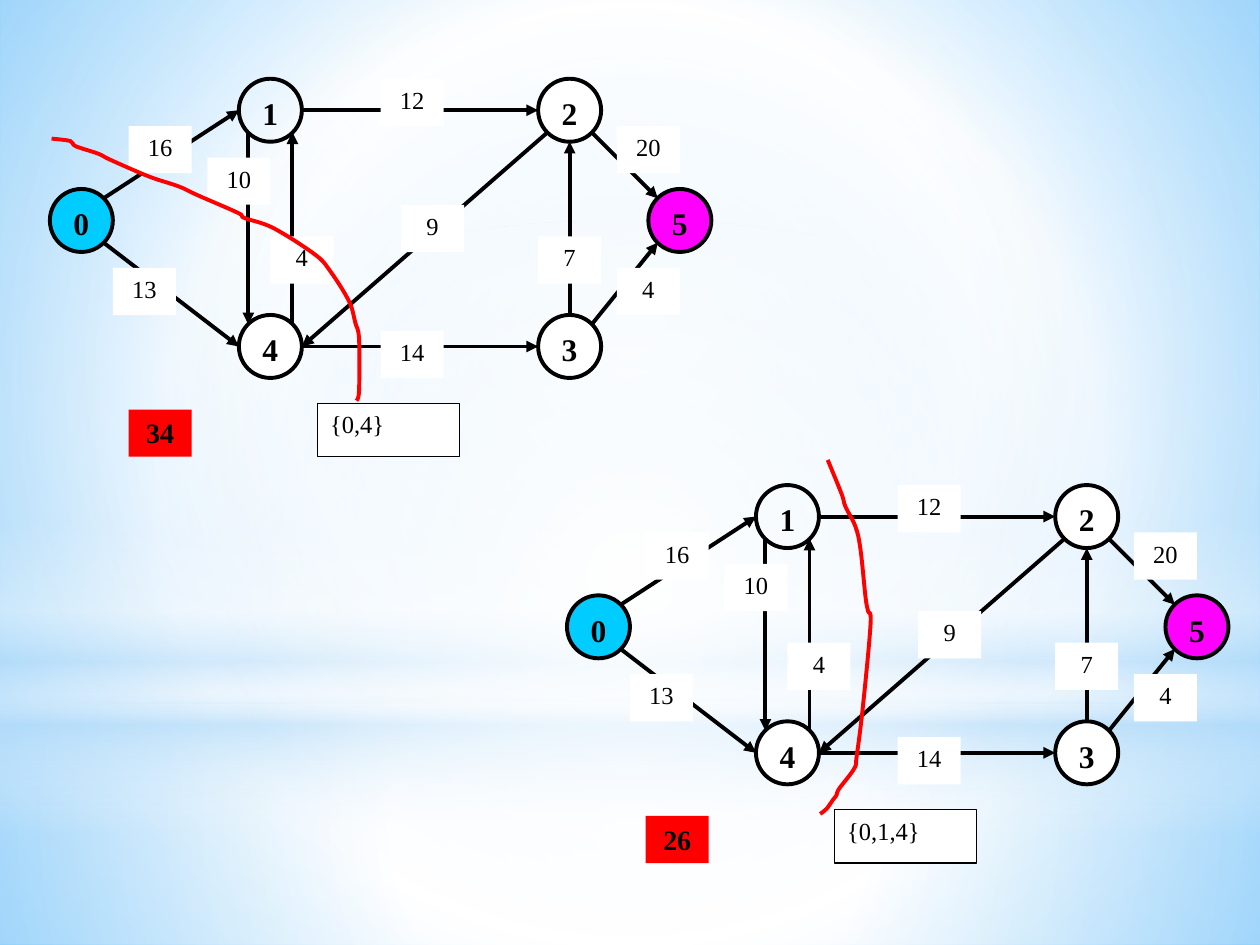
from pptx import Presentation
from pptx import oxml
from pptx import util as u
from pptx.dml import color
from pptx.enum import shapes, text
from pptx.oxml import ns


def rgb(value):
    return color.RGBColor.from_string(value)


def gradient(fill, el, stops, shade):
    fill.solid()
    old = el.xpath(".//a:solidFill")[0]
    gs = "".join(
        f'<a:gs pos="{pos * 1000}"><a:srgbClr val="{c}"><a:alpha val="{alpha * 1000}"/></a:srgbClr></a:gs>'
        for pos, c, alpha in stops)
    old.getparent().replace(old, oxml.parse_xml(
        f'<a:gradFill {ns.nsdecls("a")} rotWithShape="1"><a:gsLst>{gs}</a:gsLst>{shade}</a:gradFill>'))


prs = Presentation()
prs.slide_width, prs.slide_height = u.Inches(10), u.Inches(7.5)
W, H = prs.slide_width, prs.slide_height
CELL = W / 80
s = prs.slides.add_slide(prs.slide_layouts[6])
RECT, OVAL = shapes.MSO_SHAPE.RECTANGLE, shapes.MSO_SHAPE.OVAL
CENTER, LEFT = text.PP_ALIGN.CENTER, text.PP_ALIGN.LEFT

RADIAL = '<a:path path="circle"><a:fillToRect l="50000" t="50000" r="50000" b="50000"/></a:path>'
DOWN = '<a:lin ang="5400000" scaled="0"/>'
gradient(s.background.fill, s.element,
         [(0, "99D4FE", 100), (60, "FFFFFF", 100), (100, "54BDFF", 100)], RADIAL)
backdrop = [
    (RECT, 44.64, 15.36, [(0, "FFFFFF", 91), (37, "FFFFFF", 76), (100, "B4DCFA", 79)], RADIAL),
    (RECT, 0, 44.64, [(0, "FFFFFF", 89), (48, "FFFFFF", 62), (100, "B4DCFA", 79)], RADIAL),
    (RECT, 33, 20, [(0, "FFFFFF", 0), (29, "FFFFFF", 30), (45, "B4DCFA", 40),
                    (55, "FFFFFF", 26), (65, "B4DCFA", 60), (100, "FFFFFF", 0)], DOWN),
    (OVAL, 14, 44.64, [(0, "FFFFFF", 100), (56, "FFFFFF", 0), (100, "FFFFFF", 0)], RADIAL),
]
for kind, top, height, stops, shade in backdrop:
    sp = s.shapes.add_shape(kind, 0, int(top * CELL), W, int(height * CELL))
    sp.shadow.inherit = False
    sp.line.fill.background()
    gradient(sp.fill, sp.element, stops, shade)

edges = [
    (16, 2, 31, 2), (16, 17, 31, 17), (3.4, 7.6, 12, 2), (3.4, 10.4, 12, 17),
    (12.6, 3.4, 12.6, 15.6), (15.4, 15.6, 15.4, 3.4), (31.6, 3.4, 16, 17),
    (33, 15, 33, 4), (34.4, 3.4, 38.6, 7.6), (34.4, 15.6, 38.6, 10.4),
]
styles = {
    "node": (OVAL, 4, 4, 2.25, CENTER, {"size": u.Pt(18), "bold": True}),
    "weight": (RECT, 4, 3, 0, CENTER, {"size": u.Pt(14), "bold": False}),
    "total": (RECT, 4, 3, 0, CENTER, {"size": u.Pt(16), "bold": True}),
    "set": (RECT, 9, 3.4, 0.75, LEFT, {"size": u.Pt(14), "bold": False}),
}
nodes = [("1", 12, 0, None), ("4", 12, 15, "FFFFFF"), ("3", 31, 15, "FFFFFF"),
         ("2", 31, 0, "FFFFFF"), ("0", 0, 7, "00CCFF"), ("5", 38, 7, "FF00FF")]
weights = [("16", 5, 3), ("12", 21, 0), ("14", 21, 16), ("13", 4, 12), ("9", 22.3, 8),
           ("4", 14, 10), ("10", 10, 5), ("4", 36, 12), ("7", 31, 10), ("20", 36, 3)]
graphs = [
    (3.17, 5, "34", "{0,4}", [
        (0.41, 1.1), (0.56, 1.12), (0.6, 1.16), (0.78, 1.22), (0.88, 1.27), (1.18, 1.4),
        (1.42, 1.48), (1.57, 1.55), (1.89, 1.69), (1.94, 1.73), (2.17, 1.81), (2.5, 2.02),
        (2.62, 2.15), (2.77, 2.39), (2.82, 2.56), (2.85, 2.69), (2.85, 3.1), (2.83, 3.18)]),
    (36, 30.8, "26", "{0,1,4}", [
        (6.57, 3.65), (6.68, 3.92), (6.71, 4.02), (6.79, 4.18), (6.83, 4.36), (6.87, 4.74),
        (6.89, 4.85), (6.91, 4.95), (6.85, 5.6), (6.8, 6), (6.78, 6.1), (6.66, 6.26),
        (6.64, 6.31), (6.61, 6.35), (6.56, 6.42), (6.51, 6.46)]),
]

for left, top, total, members, cut in graphs:
    g = s.shapes.add_group_shape()

    for x1, y1, x2, y2 in edges:
        sp = g.shapes.add_connector(
            shapes.MSO_CONNECTOR.STRAIGHT, int((left + x1) * CELL), int((top + y1) * CELL),
            int((left + x2) * CELL), int((top + y2) * CELL))
        sp.line.color.rgb = rgb("000000")
        sp.line.width = u.Pt(2.25)
        sp.element.xpath(".//a:ln")[0].append(
            oxml.parse_xml(f'<a:tailEnd {ns.nsdecls("a")} type="triangle"/>'))
        sp.element.spPr.append(oxml.parse_xml(f'<a:effectLst {ns.nsdecls("a")}/>'))

    boxes = [("node", *node) for node in nodes]
    boxes += [("weight", *weight, "FFFFFF") for weight in weights]
    boxes += [("total", total, 5, 21, "FF0000"), ("set", members, 17, 20.6, "FFFFFF")]
    for style, label, col, row, fill in boxes:
        kind, cols, rows, border, align, font = styles[style]
        sp = g.shapes.add_shape(kind, int((left + col) * CELL), int((top + row) * CELL),
                                int(cols * CELL), int(rows * CELL))
        sp.shadow.inherit = False
        if fill:
            sp.fill.solid()
            sp.fill.fore_color.rgb = rgb(fill)
        else:
            sp.fill.background()
        if border:
            sp.line.color.rgb = rgb("000000")
            sp.line.width = u.Pt(border)
        else:
            sp.line.fill.background()
        tf = sp.text_frame
        tf.word_wrap = True
        tf.vertical_anchor = text.MSO_ANCHOR.TOP
        p = tf.paragraphs[0]
        p.alignment = align
        r = p.add_run()
        r.text = label
        r.font.color.rgb = rgb("000000")
        for name, value in {"name": "Times New Roman", **font}.items():
            setattr(r.font, name, value)

    dots = [(u.Inches(x), u.Inches(y)) for x, y in cut]
    outline = g.shapes.build_freeform(*dots[0])
    outline.add_line_segments(dots[1:], close=False)
    sp = outline.convert_to_shape()
    sp.shadow.inherit = False
    sp.fill.background()
    sp.line.color.rgb = rgb("FF0000")
    sp.line.width = u.Pt(2.25)
    local = [(int(x - sp.left), int(y - sp.top)) for x, y in dots]
    ends = [local[0], *local, local[-1]]
    segments = sp.element.xpath(".//a:lnTo")
    for old, a, b, c, d in zip(segments, ends, ends[1:], ends[2:], ends[3:]):
        leave = [b[i] + (c[i] - a[i]) // 6 for i in (0, 1)]
        arrive = [c[i] - (d[i] - b[i]) // 6 for i in (0, 1)]
        pts = "".join(f'<a:pt x="{x}" y="{y}"/>' for x, y in (leave, arrive, c))
        old.getparent().replace(old, oxml.parse_xml(
            f'<a:cubicBezTo {ns.nsdecls("a")}>{pts}</a:cubicBezTo>'))

prs.save("out.pptx")
